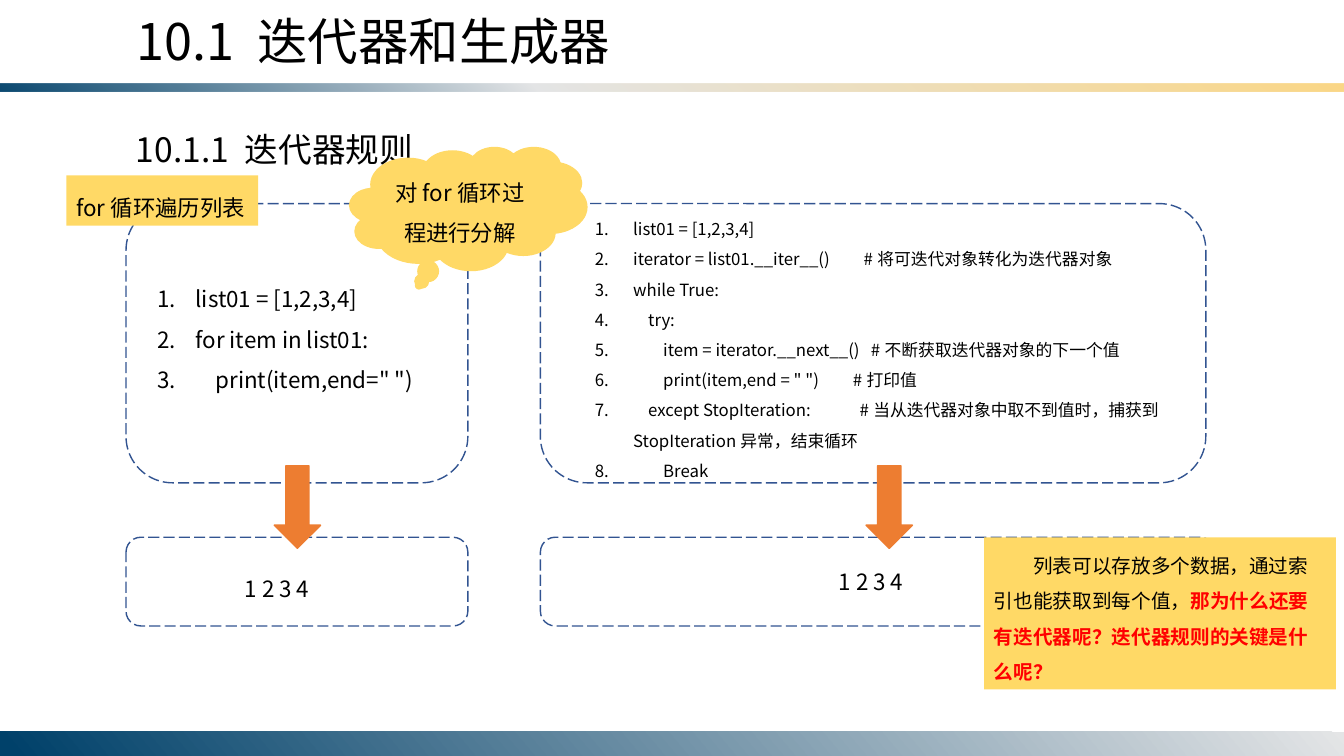
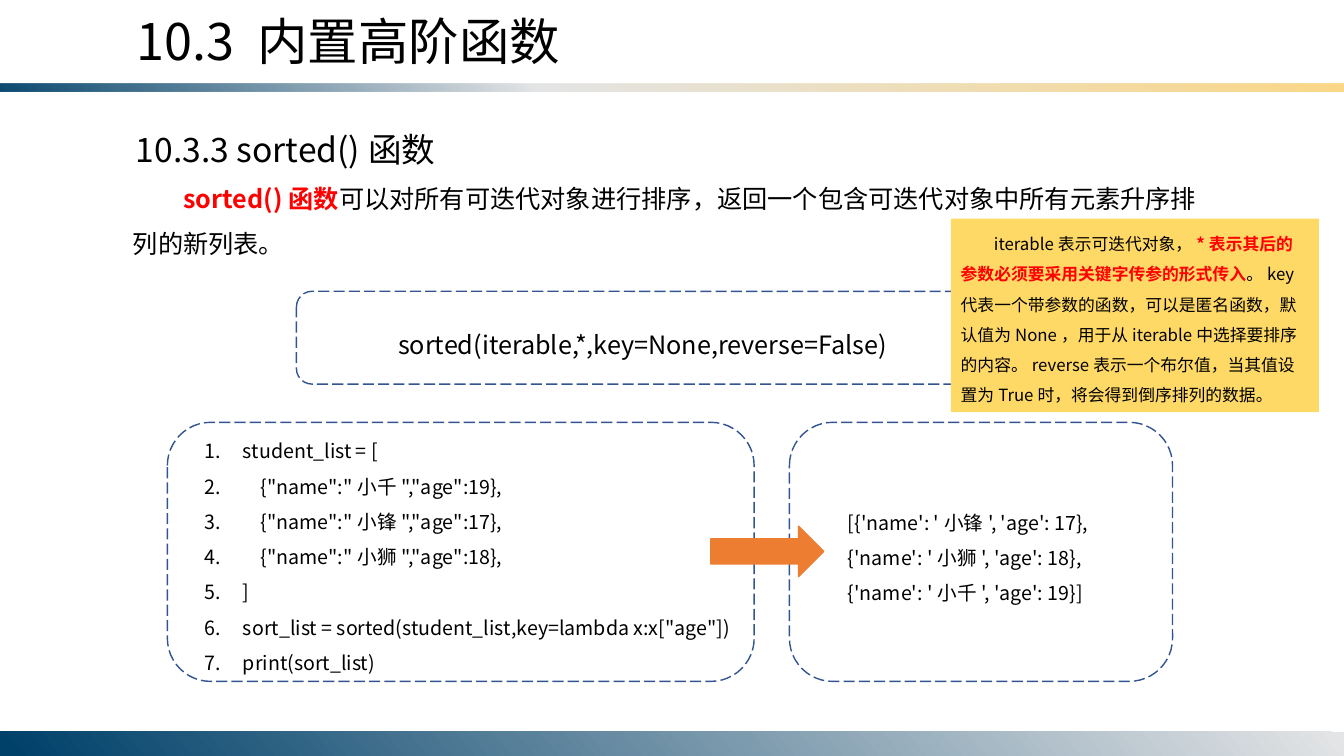
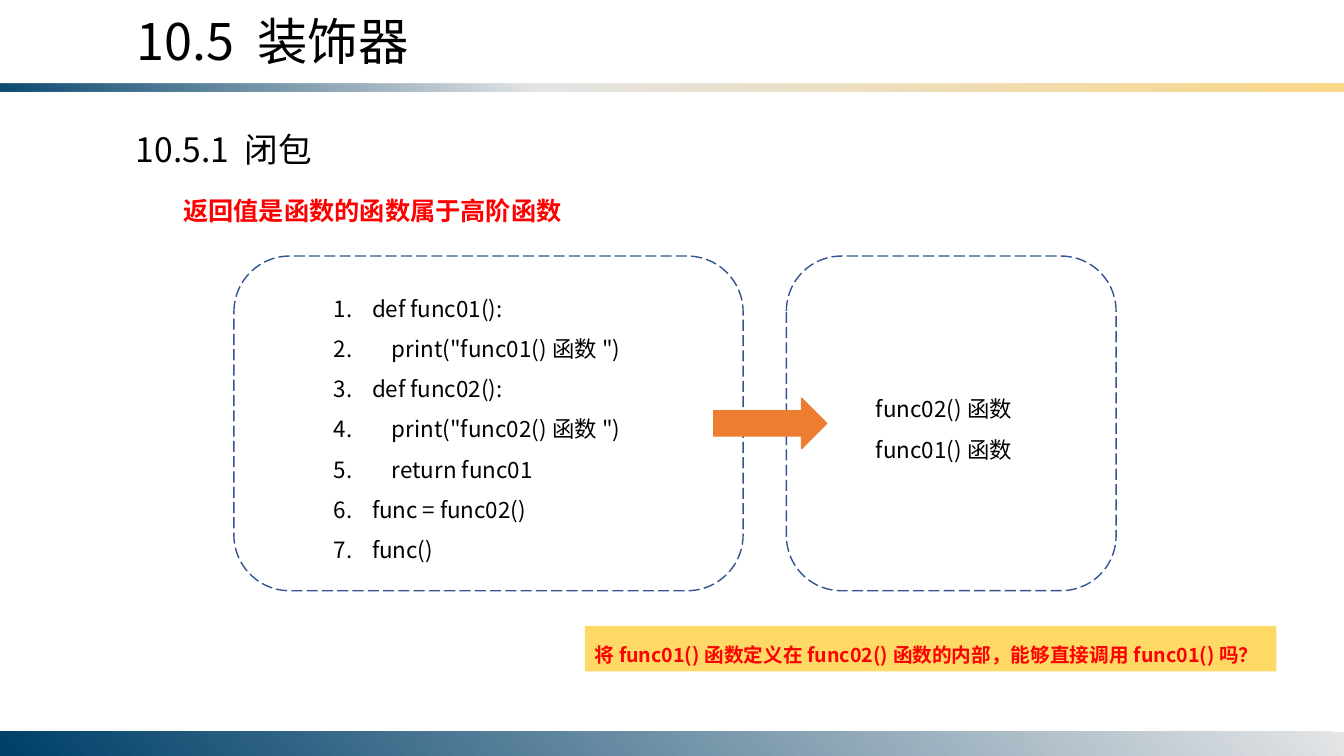
"""Build three slides on Python iterators, sorted() and closures."""
import dataclasses
import typing

import lxml.etree
import pptx
import pptx.dml.color
import pptx.enum.dml
import pptx.enum.shapes
import pptx.enum.text
import pptx.oxml.ns
import pptx.util

Inches = pptx.util.Inches
Pt = pptx.util.Pt
RGBColor = pptx.dml.color.RGBColor
Kind = pptx.enum.shapes.MSO_SHAPE
Align = pptx.enum.text.PP_ALIGN
Anchor = pptx.enum.text.MSO_ANCHOR
AutoSize = pptx.enum.text.MSO_AUTO_SIZE
qn = pptx.oxml.ns.qn

FONT = "Noto Sans CJK SC"
BLACK = RGBColor(0x00, 0x00, 0x00)
RED = RGBColor(0xFF, 0x00, 0x00)
YELLOW = RGBColor(0xFF, 0xD9, 0x66)
ORANGE = RGBColor(0xED, 0x7D, 0x31)
OUTLINE = RGBColor(0x32, 0x54, 0x91)
NAVY = RGBColor(0x00, 0x41, 0x6A)
SILVER = RGBColor(0xE4, 0xE5, 0xE6)
GOLD = RGBColor(0xFB, 0xD7, 0x86)
CODE_INDENT = 0.38


class Box(typing.NamedTuple):
    left: float
    top: float
    width: float
    height: float

    def lengths(self) -> list[int]:
        return [Inches(side) for side in self]


class Span(typing.NamedTuple):
    text: str
    strong: bool = False


class Stop(typing.NamedTuple):
    position: int
    color: RGBColor
    opacity: int = 100


@dataclasses.dataclass
class Style:
    size: int
    spacing: float = 1.5
    indent: float = 0
    numbered: bool = False
    align: Align = Align.LEFT


@dataclasses.dataclass
class Block:
    box: Box
    lines: list[list[Span]]
    style: Style
    kind: Kind | None = None


@dataclasses.dataclass
class Arrow:
    box: Box
    kind: Kind


@dataclasses.dataclass
class Topic:
    title: str
    heading: str
    listings: list[Block]
    blocks: list[Block]
    panels: list[Box]
    arrows: list[Arrow]


TITLE_BOX = Box(1.25, 0.05, 6.12, 0.71)
HEADING_BOX = Box(1.25, 1.23, 5.16, 0.5)
TITLE_STYLE = Style(36, spacing=1)
HEADING_STYLE = Style(24, spacing=1)
BODY_STYLE = Style(18, indent=0.5)


def plain(*texts: str) -> list[list[Span]]:
    return [[Span(text)] for text in texts]


def listing(box: Box, size: int, *code: str) -> Block:
    return Block(box, plain(*code), Style(size, numbered=True))


def right_arrow(left: float, top: float) -> Arrow:
    return Arrow(Box(left, top, 1.12, 0.5), Kind.RIGHT_ARROW)


def down_arrow(left: float) -> Arrow:
    return Arrow(Box(left, 4.62, 0.46, 0.82), Kind.DOWN_ARROW)


TOPICS = [
    Topic(
        "10.1 迭代器和生成器",
        "10.1.1 迭代器规则",
        listings=[
            listing(
                Box(1.46, 2.65, 2.98, 1.31), 16,
                "list01 = [1,2,3,4]",
                "for item in list01:",
                '    print(item,end=" ")',
            ),
            listing(
                Box(5.8, 2.02, 6.03, 2.83), 12,
                "list01 = [1,2,3,4]",
                "iterator = list01.__iter__()         #将可迭代对象转化为迭代器对象",
                "while True:",
                "    try:",
                "        item = iterator.__next__()   #不断获取迭代器对象的下一个值",
                '        print(item,end = " ")         #打印值',
                "    except StopIteration:             "
                "#当从迭代器对象中取不到值时，捕获到StopIteration异常，结束循环",
                "        Break",
            ),
        ],
        blocks=[
            Block(Box(2.33, 5.52, 1.24, 0.5), plain("1 2 3 4"), Style(16)),
            Block(Box(8.22, 5.45, 1.2, 0.5), plain("1 2 3 4"), Style(16)),
            Block(Box(0.66, 1.74, 1.9, 0.5), plain("for循环遍历列表"), Style(16), Kind.RECTANGLE),
            Block(
                Box(3.47, 1.46, 2.35, 1.22),
                plain("对for循环过程进行分解"),
                Style(16, align=Align.CENTER),
                Kind.CLOUD_CALLOUT,
            ),
            Block(
                Box(9.76, 5.33, 3.49, 1.51),
                [[
                    Span("列表可以存放多个数据，通过索引也能获取到每个值，"),
                    Span("那为什么还要有迭代器呢？迭代器规则的关键是什么呢？", True),
                ]],
                Style(14, indent=0.39),
                Kind.RECTANGLE,
            ),
        ],
        panels=[
            Box(1.25, 2.02, 3.39, 2.77),
            Box(1.25, 5.33, 3.39, 0.88),
            Box(5.36, 2.02, 6.6, 2.77),
            Box(5.36, 5.33, 6.69, 0.88),
        ],
        arrows=[down_arrow(2.72), down_arrow(8.59)],
    ),
    Topic(
        "10.3 内置高阶函数",
        "10.3.3 sorted()函数",
        listings=[
            listing(
                Box(1.93, 4.19, 5.54, 2.57), 14,
                "student_list = [",
                '    {"name":"小千","age":19},',
                '    {"name":"小锋","age":17},',
                '    {"name":"小狮","age":18},',
                "]",
                'sort_list = sorted(student_list,key=lambda x:x["age"])',
                "print(sort_list)",
            ),
        ],
        blocks=[
            Block(
                Box(1.22, 1.62, 10.89, 1.01),
                [[
                    Span("sorted()函数", True),
                    Span("可以对所有可迭代对象进行排序，返回一个包含可迭代对象中所有元素升序排列的新列表。"),
                ]],
                BODY_STYLE,
            ),
            Block(
                Box(3.85, 3.07, 5.77, 0.55),
                plain("sorted(iterable,*,key=None,reverse=False)"),
                Style(18),
            ),
            Block(
                Box(8.31, 4.9, 2.85, 1.16),
                plain("[{'name': '小锋', 'age': 17}, {'name': '小狮', 'age': 18}, {'name': '小千', 'age': 19}]"),
                Style(14),
            ),
            Block(
                Box(9.43, 2.17, 3.65, 1.92),
                [[
                    Span("iterable表示可迭代对象，"),
                    Span("*表示其后的参数必须要采用关键字传参的形式传入", True),
                    Span(
                        "。key代表一个带参数的函数，可以是匿名函数，默认值为None，"
                        "用于从iterable中选择要排序的内容。reverse表示一个布尔值，"
                        "当其值设置为True时，将会得到倒序排列的数据。"
                    ),
                ]],
                Style(12, indent=0.33),
                Kind.RECTANGLE,
            ),
        ],
        panels=[
            Box(2.94, 2.89, 7.45, 0.92),
            Box(1.66, 4.19, 5.82, 2.57),
            Box(7.83, 4.19, 3.8, 2.57),
        ],
        arrows=[right_arrow(7.05, 5.22)],
    ),
    Topic(
        "10.5 装饰器",
        "10.5.1 闭包",
        listings=[
            listing(
                Box(3.21, 2.74, 3.27, 2.93), 16,
                "def func01():",
                '    print("func01()函数")',
                "def func02():",
                '    print("func02()函数")',
                "    return func01",
                "func = func02()",
                "func()",
            ),
        ],
        blocks=[
            Block(
                Box(1.22, 1.74, 10.89, 0.55),
                [[Span("返回值是函数的函数属于高阶函数", True)]],
                BODY_STYLE,
            ),
            Block(Box(8.59, 3.74, 1.7, 0.91), plain("func02()函数", "func01()函数"), Style(16)),
            Block(
                Box(5.8, 6.21, 6.86, 0.45),
                [[Span("将func01()函数定义在func02()函数的内部，能够直接调用func01()吗？", True)]],
                Style(14),
                Kind.RECTANGLE,
            ),
        ],
        panels=[Box(2.32, 2.54, 5.05, 3.32), Box(7.8, 2.54, 3.27, 3.32)],
        arrows=[right_arrow(7.08, 3.95)],
    ),
]


def place(shape, box: Box) -> None:
    shape.left, shape.top, shape.width, shape.height = box.lengths()


def write(frame, lines: list[list[Span]], style: Style, anchor: Anchor = Anchor.TOP) -> None:
    frame.word_wrap = True
    frame.vertical_anchor = anchor
    for index, spans in enumerate(lines):
        para = frame.add_paragraph() if index else frame.paragraphs[0]
        para.alignment = style.align
        para.line_spacing = style.spacing
        para.space_before = Pt(0)
        properties = para._p.get_or_add_pPr()
        margin, indent = (CODE_INDENT, -CODE_INDENT) if style.numbered else (0, style.indent)
        properties.set("marL", str(Inches(margin)))
        properties.set("indent", str(Inches(indent)))
        if style.numbered:
            lxml.etree.SubElement(properties, qn("a:buFont"), typeface="+mj-lt")
            lxml.etree.SubElement(properties, qn("a:buAutoNum"), type="arabicPeriod")
        all_strong = all(span.strong for span in spans)
        para.font.size = Pt(style.size)
        para.font.name = FONT
        para.font.bold = all_strong
        para.font.color.rgb = RED if all_strong else BLACK
        defaults = properties.find(qn("a:defRPr"))
        lxml.etree.SubElement(defaults, qn("a:ea"), typeface=FONT)
        for span in spans:
            run = para.add_run()
            run.text = span.text
            if span.strong and not all_strong:
                run.font.bold = True
                run.font.color.rgb = RED


def add_shape(page, kind: Kind, box: Box, fill: RGBColor | None = None, line: RGBColor | None = None):
    shape = page.shapes.add_shape(kind, *box.lengths())
    shape.shadow.inherit = False
    if fill is None:
        shape.fill.background()
    else:
        shape.fill.solid()
        shape.fill.fore_color.rgb = fill
    if line is None:
        shape.line.fill.background()
    else:
        shape.line.color.rgb = line
        shape.line.width = Pt(1)
    return shape


def add_block(page, block: Block) -> None:
    if block.kind is None:
        shape = page.shapes.add_textbox(*block.box.lengths())
    else:
        line = YELLOW if block.kind == Kind.CLOUD_CALLOUT else None
        shape = add_shape(page, block.kind, block.box, YELLOW, line)
    is_cloud = block.kind == Kind.CLOUD_CALLOUT
    write(shape.text_frame, block.lines, block.style, Anchor.MIDDLE if is_cloud else Anchor.TOP)
    shape.text_frame.auto_size = AutoSize.NONE if is_cloud else AutoSize.SHAPE_TO_FIT_TEXT


def fill_placeholder(placeholder, block: Block) -> None:
    place(placeholder, block.box)
    write(placeholder.text_frame, block.lines, block.style)
    placeholder.text_frame.auto_size = AutoSize.NONE


def add_band(page, box: Box, stops: list[Stop], angle: int):
    band = add_shape(page, Kind.RECTANGLE, box)
    properties = band.element.spPr
    gradient = lxml.etree.Element(qn("a:gradFill"), rotWithShape="1")
    stop_list = lxml.etree.SubElement(gradient, qn("a:gsLst"))
    for stop in stops:
        entry = lxml.etree.SubElement(stop_list, qn("a:gs"), pos=str(stop.position * 1000))
        color = lxml.etree.SubElement(entry, qn("a:srgbClr"), val=str(stop.color))
        if stop.opacity < 100:
            lxml.etree.SubElement(color, qn("a:alpha"), val=str(stop.opacity * 1000))
    lxml.etree.SubElement(gradient, qn("a:lin"), ang=str(angle * 60000), scaled="0")
    properties.replace(properties.find(qn("a:noFill")), gradient)
    return band


def add_master_bands(deck, page) -> None:
    top = add_band(
        page, Box(0, 0.83, 13.33, 0.08),
        [Stop(0, NAVY, 95), Stop(40, SILVER), Stop(100, GOLD)], 50,
    )
    top.element.spPr.find(qn("a:xfrm")).set("flipV", "1")
    bottom = add_band(page, Box(0, 7.26, 13.33, 0.24), [Stop(0, SILVER), Stop(99, NAVY)], 140)
    for number, band in enumerate((top, bottom), start=101):
        band.element.nvSpPr.cNvPr.set("id", str(number))
        deck.slide_master.shapes.element.append(band.element)


def add_topic(deck, topic: Topic):
    layout_name = "Two Content" if len(topic.listings) == 2 else "Title and Content"
    page = deck.slides.add_slide(deck.slide_layouts.get_by_name(layout_name))
    fill_placeholder(page.shapes.title, Block(TITLE_BOX, plain(topic.title), TITLE_STYLE))
    for index, code in enumerate(topic.listings, start=1):
        fill_placeholder(page.placeholders[index], code)
    add_block(page, Block(HEADING_BOX, plain(topic.heading), HEADING_STYLE))
    for panel in topic.panels:
        shape = add_shape(page, Kind.ROUNDED_RECTANGLE, panel, line=OUTLINE)
        shape.line.dash_style = pptx.enum.dml.MSO_LINE.LONG_DASH
    for arrow in topic.arrows:
        add_shape(page, arrow.kind, arrow.box, ORANGE, ORANGE)
    for block in topic.blocks:
        add_block(page, block)
    return page


def main() -> None:
    deck = pptx.Presentation()
    deck.slide_width, deck.slide_height = Inches(13.33), Inches(7.5)
    pages = [add_topic(deck, topic) for topic in TOPICS]
    add_master_bands(deck, pages[0])
    deck.save("out.pptx")


if __name__ == "__main__":
    main()
